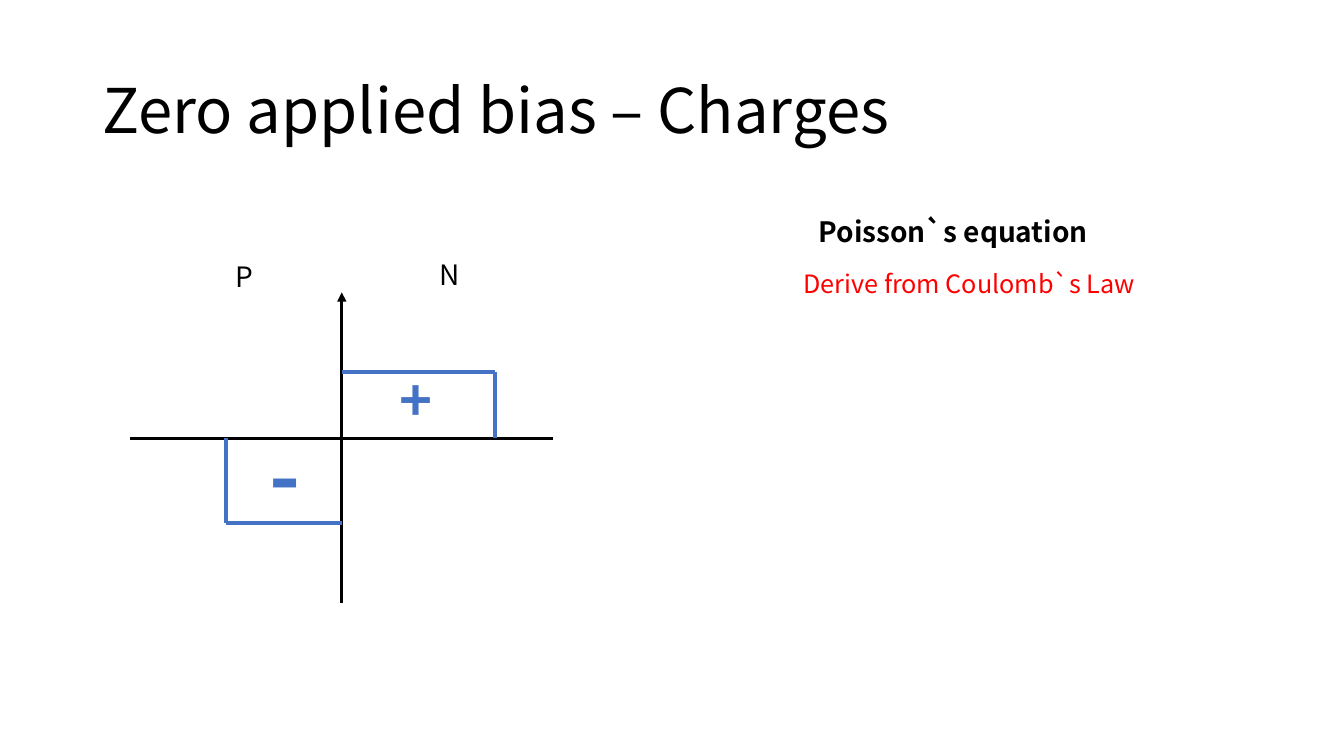
from dataclasses import dataclass

from lxml.etree import SubElement
from pptx import Presentation
from pptx.dml.color import RGBColor as Rgb
from pptx.enum.shapes import MSO_CONNECTOR as Link
from pptx.enum.text import MSO_ANCHOR as Anchor, PP_ALIGN as Align
from pptx.oxml.ns import qn
from pptx.util import Inches, Pt


@dataclass(frozen=True)
class Theme:
    font: str = "Noto Sans CJK KR"
    black: str = "000000"
    blue: str = "4472C4"
    red: str = "FF0000"
    title: int = 44
    minus: int = 60
    plus: int = 40
    label: int = 20
    note: int = 18
    axis: float = 2.25
    edge: float = 3


THEME = Theme()


def add_text(slide, words, box, size, color=THEME.black, bold=False,
             align=Align.LEFT, anchor=Anchor.TOP, space=1.0):
    frame = slide.shapes.add_textbox(*map(Inches, box)).text_frame
    frame.word_wrap = True
    frame.vertical_anchor = anchor
    para = frame.paragraphs[0]
    para.alignment = align
    para.line_spacing = space
    run = para.add_run()
    run.text = words
    run.font.name = THEME.font
    run.font.size = Pt(size)
    run.font.bold = bold
    run.font.color.rgb = Rgb.from_string(color)


def add_line(slide, start, end, color, width, arrow=False):
    line = slide.shapes.add_connector(
        Link.STRAIGHT, *map(Inches, (*start, *end)))
    line.line.color.rgb = Rgb.from_string(color)
    line.line.width = Pt(width)
    props = line._element.spPr
    if arrow:
        SubElement(props.find(qn("a:ln")), qn("a:tailEnd"), type="triangle")
    SubElement(props, qn("a:effectLst"))


def add_charge(slide, edge, level, origin):
    mid, base = origin
    add_line(slide, (edge, level), (mid, level), THEME.blue, THEME.edge)
    add_line(slide, (edge, level), (edge, base), THEME.blue, THEME.edge)


def add_graph(slide):
    mid, base = origin = (3.39, 4.35)
    add_text(slide, "+", (3.86, 3.58, 0.49, 0.77), THEME.plus, THEME.blue, True)
    add_text(slide, "-", (2.57, 4.15, 0.49, 1.11), THEME.minus, THEME.blue, True)
    add_line(slide, (1.29, base), (5.48, base), THEME.black, THEME.axis)
    add_line(slide, (mid, 5.98), (mid, 2.9), THEME.black, THEME.axis, True)
    add_charge(slide, 2.24, 5.19, origin)
    add_charge(slide, 4.91, 3.69, origin)
    add_text(slide, "P", (2.24, 2.53, 0.38, 0.44), THEME.label)
    add_text(slide, "N", (4.26, 2.51, 0.38, 0.44), THEME.label)


def main():
    deck = Presentation()
    deck.slide_width = Inches(13.33)
    deck.slide_height = Inches(7.5)
    slide = deck.slides.add_slide(deck.slide_layouts[6])
    add_text(slide, "Zero applied bias – Charges", (0.92, 0.4, 11.5, 1.45),
             THEME.title, anchor=Anchor.MIDDLE, space=0.9)
    add_text(slide, "Poisson`s equation", (6.67, 2.08, 5.57, 0.44),
             THEME.label, bold=True, align=Align.CENTER)
    add_graph(slide)
    add_text(slide, "Derive from Coulomb`s Law", (7.87, 2.61, 3.53, 0.4),
             THEME.note, THEME.red)
    deck.save("out.pptx")


if __name__ == "__main__":
    main()
